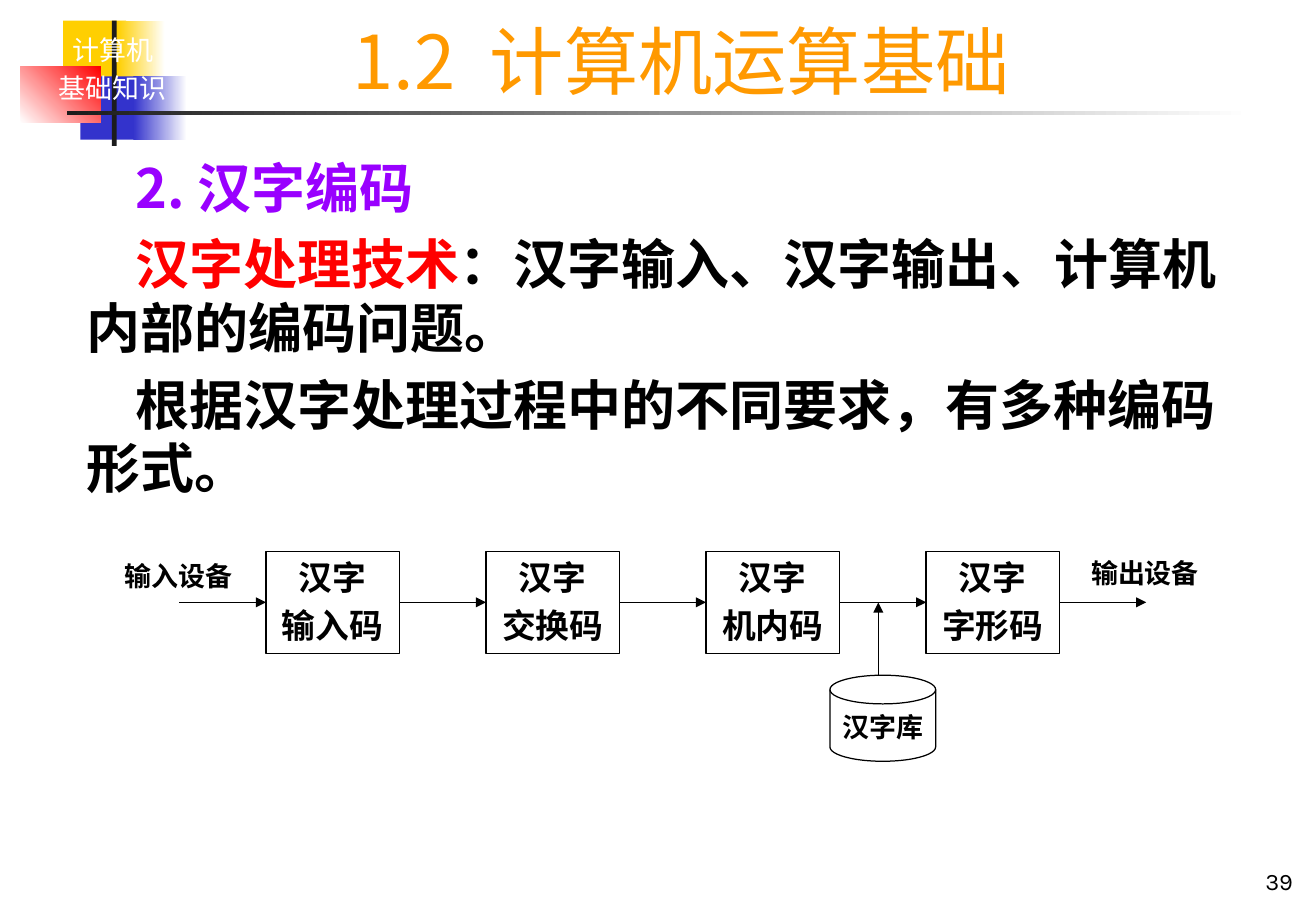
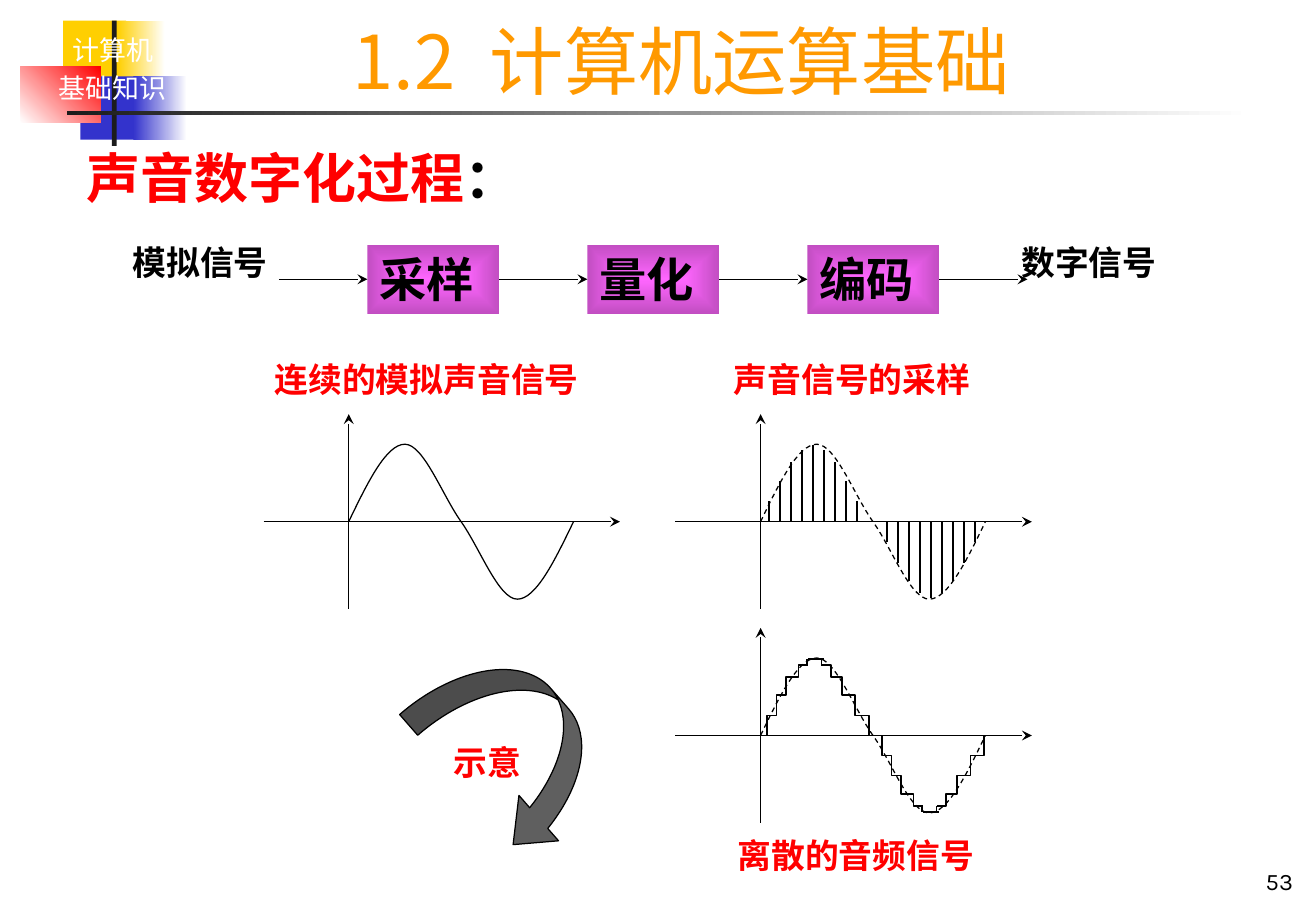
import itertools

import lxml.etree
import pptx
import pptx.dml.color
import pptx.enum.dml
import pptx.enum.shapes
import pptx.enum.text
import pptx.oxml.ns
import pptx.util

Cm = pptx.util.Cm
Pt = pptx.util.Pt
qn = pptx.oxml.ns.qn
Align = pptx.enum.text.PP_ALIGN
Shape = pptx.enum.shapes.MSO_SHAPE

COLORS = {
    name: pptx.dml.color.RGBColor.from_string(value)
    for name, value in {
        "black": "000000",
        "white": "FFFFFF",
        "yellow": "FFCF01",
        "blue": "3333CC",
        "red": "FF0000",
        "ink": "1C1C1C",
        "orange": "FF9900",
        "purple": "9900FF",
        "pink": "FF66FF",
        "plum": "C24EC2",
        "gray": "5F5F5F",
    }.items()
}
HAN_FONT = "Noto Sans CJK SC"


def write(shape, paragraphs, size, font="Karla", align=Align.LEFT, bold=True, indent=0):
    frame = shape.text_frame
    frame.word_wrap = True
    frame.vertical_anchor = pptx.enum.text.MSO_ANCHOR.TOP
    frame.margin_left = frame.margin_right = Cm(0.25)
    frame.margin_top = frame.margin_bottom = Cm(0.13)
    for index, runs in enumerate(paragraphs):
        paragraph = frame.add_paragraph() if index else frame.paragraphs[0]
        paragraph.alignment = align
        paragraph.line_spacing = Pt(1.18 * size)
        paragraph.space_before = Pt(0.24 * size if index else 0)
        if indent:
            paragraph._p.get_or_add_pPr().set("indent", str(Cm(indent)))
        for text, color in runs:
            run = paragraph.add_run()
            run.text = text
            run.font.size = Pt(size)
            run.font.bold = bold
            run.font.name = font
            run.font.color.rgb = COLORS[color]
            lxml.etree.SubElement(run._r.get_or_add_rPr(), qn("a:ea"), typeface=HAN_FONT)


def draw_line(slide, start, end, width=0.75, head=None):
    connector = slide.shapes.add_connector(
        pptx.enum.shapes.MSO_CONNECTOR.STRAIGHT, *(Cm(value) for value in (*start, *end))
    )
    connector.line.width = Pt(width)
    connector.line.color.rgb = COLORS["black"]
    if head:
        lxml.etree.SubElement(connector.line._get_or_add_ln(), qn("a:tailEnd"), type=head)
    lxml.etree.SubElement(connector._element.spPr, qn("a:effectLst"))
    return connector


presentation = pptx.Presentation()
presentation.slide_width = Cm(27.51)
presentation.slide_height = Cm(19.05)

band_parts = [
    (1.32, 0.43, 1.32, 1.32, ["yellow"], 0),
    (2.46, 0.43, 0.99, 1.32, ["yellow", "white"], 0),
    (1.68, 1.6, 1.27, 1.32, ["blue"], 0),
    (2.79, 1.6, 1.12, 1.32, ["blue", "white"], 0),
    (0.43, 1.4, 1.68, 1.17, ["white", "red"], 45),
    (2.34, 0.43, 0.1, 2.62, ["ink"], 0),
    (1.4, 2.32, 24.76, 0.08, ["ink", "white"], 0),
]

slides = []
for number in ("39", "53"):
    slide = presentation.slides.add_slide(presentation.slide_layouts[6])
    slides.append(slide)
    for left, top, width, height, colors, angle in band_parts:
        shape = slide.shapes.add_shape(Shape.RECTANGLE, Cm(left), Cm(top), Cm(width), Cm(height))
        shape.shadow.inherit = False
        shape.line.fill.background()
        if len(colors) == 1:
            shape.fill.solid()
            shape.fill.fore_color.rgb = COLORS[colors[0]]
        else:
            shape.fill.gradient()
            shape.fill.gradient_angle = angle
            for stop, color in zip(shape.fill.gradient_stops, colors):
                stop.color.rgb = COLORS[color]
    corner = slide.shapes.add_textbox(Cm(0.76), Cm(0.58), Cm(3.2), Cm(1.75))
    write(corner, [[("计算机", "white")], [("基础知识", "white")]], 16, align=Align.CENTER, bold=False)
    title = slide.shapes.add_textbox(Cm(5.26), Cm(0.22), Cm(17.96), Cm(2.1))
    write(title, [[("1.2 计算机运算基础", "orange")]], 44, HAN_FONT, Align.CENTER, bold=False)
    page_number = slide.shapes.add_textbox(Cm(24.36), Cm(18), Cm(2.92), Cm(0.84))
    write(page_number, [[(number, "black")]], 14, align=Align.RIGHT, bold=False)

encoding_slide, sound_slide = slides

body = encoding_slide.shapes.add_textbox(Cm(1.55), Cm(3.12), Cm(24.41), Cm(7.8))
write(
    body,
    [
        [("2.汉字编码", "purple")],
        [("汉字处理技术", "red"), ("：汉字输入、汉字输出、计算机内部的编码问题。", "black")],
        [("根据汉字处理过程中的不同要求，有多种编码形式。", "black")],
    ],
    32,
    HAN_FONT,
    indent=1.03,
)
body = sound_slide.shapes.add_textbox(Cm(1.55), Cm(2.92), Cm(24.21), Cm(1.8))
write(body, [[("声音数字化过程", "red"), ("：", "black")]], 32, HAN_FONT)

code_steps = [["汉字", "输入码"], ["汉字", "交换码"], ["汉字", "机内码"], ["汉字", "字形码"]]
sound_steps = [["采样"], ["量化"], ["编码"]]
flows = [
    (encoding_slide, code_steps, 5.56, 11.53, 2.79, 2.13, 20, Align.CENTER, "triangle"),
    (sound_slide, sound_steps, 7.68, 5.12, 2.75, 1.44, 28, Align.LEFT, "stealth"),
]
STEP_PITCH = 4.6
for slide, steps, left, top, width, height, size, align, head in flows:
    boxes = []
    for index, lines in enumerate(steps):
        box = slide.shapes.add_shape(
            Shape.RECTANGLE, Cm(left + index * STEP_PITCH), Cm(top), Cm(width), Cm(height)
        )
        box.shadow.inherit = False
        if slide is encoding_slide:
            box.fill.background()
            box.line.color.rgb = COLORS["black"]
            box.line.width = Pt(0.75)
        else:
            box.line.fill.background()
            box.fill.gradient()
            for stop, color in zip(box.fill.gradient_stops, ("pink", "plum")):
                stop.color.rgb = COLORS[color]
            gradient = box._element.spPr.find(qn("a:gradFill"))
            gradient.remove(gradient.find(qn("a:lin")))
            shading = lxml.etree.SubElement(gradient, qn("a:path"), {"path": "shape"})
            center = dict.fromkeys("ltrb", "50000")
            lxml.etree.SubElement(shading, qn("a:fillToRect"), center)
        write(box, [[(line, "black")] for line in lines], size, align=align)
        boxes.append(box)
    middle = top + height / 2
    for index in range(len(boxes) + 1):
        end = left + index * STEP_PITCH
        start = end - STEP_PITCH + width
        arrow = draw_line(slide, (start, middle), (end, middle), head=head)
        if index > 0:
            arrow.begin_connect(boxes[index - 1], 3)
        if index < len(boxes):
            arrow.end_connect(boxes[index], 1)

library = encoding_slide.shapes.add_shape(
    Shape.FLOWCHART_MAGNETIC_DISK, Cm(17.35), Cm(14.12), Cm(2.21), Cm(1.8)
)
library.shadow.inherit = False
library.fill.background()
library.line.color.rgb = COLORS["black"]
library.line.width = Pt(0.75)
draw_line(encoding_slide, (18.36, 14.12), (18.36, 12.6), head="triangle")

labels = [
    (encoding_slide, "输入设备", 2.36, 11.58, 2.79, 16, "Karla", "black"),
    (encoding_slide, "输出设备", 22.56, 11.53, 2.79, 16, "Karla", "black"),
    (encoding_slide, "汉字库", 17.36, 14.73, 2.59, 16, "Karla", "black"),
    (sound_slide, "模拟信号", 2.52, 4.93, 3.66, 20, "Karla", "black"),
    (sound_slide, "数字信号", 21.1, 4.93, 3.66, 20, "Karla", "black"),
    (sound_slide, "连续的模拟声音信号", 5.49, 7.39, 7.6, 20, "Arial", "red"),
    (sound_slide, "声音信号的采样", 15.09, 7.39, 5.97, 20, "Arial", "red"),
    (sound_slide, "离散的音频信号", 15.17, 17.35, 6.2, 20, "Arial", "red"),
    (sound_slide, "示意", 9.24, 15.39, 2.2, 20, "Karla", "red"),
]
for slide, text, left, top, width, size, font, color in labels:
    label = slide.shapes.add_textbox(Cm(left), Cm(top), Cm(width), Cm(size * 0.055))
    write(label, [[(text, color)]], size, font)

WAVE_WIDTH = 4.7
WAVE_HEIGHT = 1.62
wave_levels = [0, 0.5, 1, 1, 1, 0.34, 0, -0.34, -1, -1, -1, -0.5, 0]
wave = [
    (index * WAVE_WIDTH / 12, level * WAVE_HEIGHT) for index, level in enumerate(wave_levels)
]

outlines = []
for x, y, dashed in ((7.29, 10.91, False), (15.9, 10.91, True), (15.9, 15.38, True)):
    draw_line(sound_slide, (x - 1.78, y), (x + 5.67, y), head="stealth")
    draw_line(sound_slide, (x, y + 1.82), (x, y - 2.25), head="stealth")
    outlines.append((x, y, wave, 0.75, dashed))

stair_levels = [0.42, 0.84, 1.22, 1.47]
stair_sides = [(0.13, 0.33, 0.53, 0.79, 0.99), (2.26, 1.98, 1.7, 1.47, 1.27)]
for x, sign in ((15.9, 1), (18.31, -1)):
    for edges in stair_sides:
        stairs = [(edges[0], 0)]
        for (near, far), level in zip(itertools.pairwise(edges), stair_levels):
            stairs += [(near, sign * level), (far, sign * level)]
        outlines.append((x, 15.38, stairs, 1, False))
    shoulder = 15.38 - sign * stair_levels[-1]
    peak = 15.38 - sign * 1.6
    draw_line(sound_slide, (x + 0.99, peak), (x + 1.32, peak), 1)
    for offset in (0.97, 1.27):
        draw_line(sound_slide, (x + offset, shoulder), (x + offset, peak), 1)

for x, y, points, width, dashed in outlines:
    places = [(Cm(x + across), Cm(y - up)) for across, up in points]
    builder = sound_slide.shapes.build_freeform(*places[0])
    builder.add_line_segments(places[1:], close=False)
    outline = builder.convert_to_shape()
    outline.shadow.inherit = False
    outline.fill.background()
    outline.line.color.rgb = COLORS["black"]
    outline.line.width = Pt(width)
    if dashed:
        outline.line.dash_style = pptx.enum.dml.MSO_LINE.DASH
    if points is wave:
        segments = list(outline._element.iter(qn("a:lnTo")))
        drawing = segments[0].getparent()
        for first in range(0, len(segments), 3):
            curve = lxml.etree.SubElement(drawing, qn("a:cubicBezTo"))
            for segment in segments[first : first + 3]:
                curve.append(segment[0])
                drawing.remove(segment)

sample_heights = [0.43, 0.86, 1.24, 1.5, 1.6, 1.5, 1.24, 0.86, 0.43]
for first_sample, sign in ((16.08, 1), (18.54, -1)):
    for index, height in enumerate(sample_heights):
        x = first_sample + index * 0.23
        draw_line(sound_slide, (x, 10.91), (x, 10.91 - sign * height), 1)

turn = sound_slide.shapes.add_shape(
    Shape.CURVED_DOWN_ARROW, Cm(8.66), Cm(14.27), Cm(4.24), Cm(2.74)
)
turn.shadow.inherit = False
turn.rotation = 48.9
for index, value in enumerate((0.21, 0.46, 0.28)):
    turn.adjustments[index] = value
turn.fill.solid()
turn.fill.fore_color.rgb = COLORS["gray"]
turn.line.color.rgb = COLORS["black"]
turn.line.width = Pt(0.75)

presentation.save("out.pptx")
